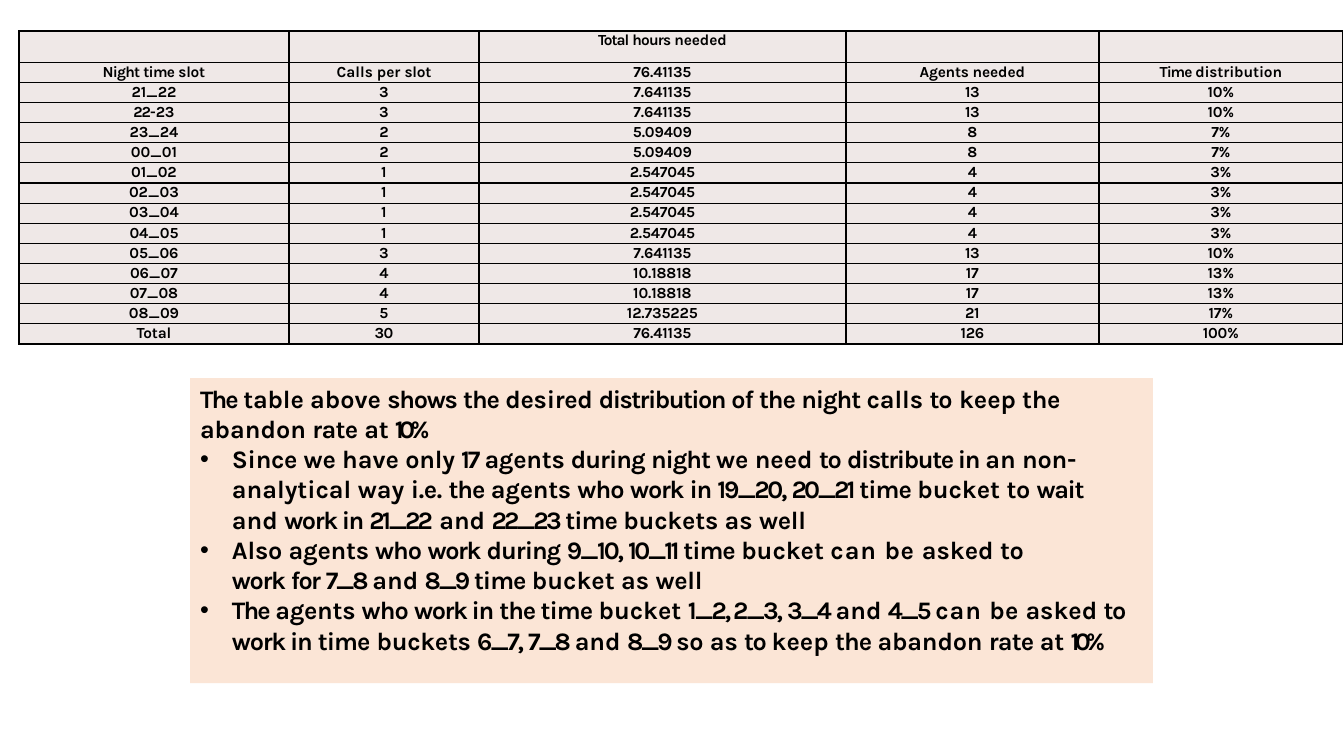
"""Build the slide with the night call distribution table and its staffing notes."""
import pptx
import pptx.dml.color
import pptx.enum.text
import pptx.oxml
import pptx.oxml.ns
import pptx.util

PX = 914400 / 100.8
COLORS = {"text": "000000", "cell": "EFE8E7", "notes": "FBE5D6", "border": "000000"}
FONT = "Karla"
NS = pptx.oxml.ns.nsdecls("a")


def px(length):
    return pptx.util.Emu(round(length * PX))


def write(paragraph, pieces, size, before=0, line=None, align=None):
    paragraph.alignment = align
    paragraph.line_spacing = pptx.util.Pt(line) if line else 1.0
    paragraph.space_before = pptx.util.Pt(before)
    for text, tracking in pieces:
        run = paragraph.add_run()
        run.text = text
        run.font.name = FONT
        run.font.size = pptx.util.Pt(size)
        run.font.bold = True
        run.font.color.rgb = pptx.dml.color.RGBColor.from_string(COLORS["text"])
        run.font._element.set("spc", str(round(tracking * 100)))


presentation = pptx.Presentation()
presentation.slide_width = px(1344)
presentation.slide_height = px(756)
slide = presentation.slides.add_slide(presentation.slide_layouts[1])
slide.shapes.title._element.getparent().remove(slide.shapes.title._element)

column_widths = [270, 190, 367, 253, 244]
column_tracking = [-0.1, -0.5, -0.1, -0.2, -0.2]
schedule = [
    ["", "", [("Total ", -0.7), ("hours ", -0.6), ("needed", -0.1)], "", ""],
    [[("Night ", -0.6), ("time ", -0.5), ("slot", -0.2)],
     [("Calls per ", 0), ("slot", -0.2)],
     "76.41135",
     [("Agents ", -0.2), ("needed", -0.1)],
     [("Time ", -0.8), ("distribution", -0.1)]],
    ["21_22", "3", "7.641135", "13", "10%"],
    [[("22-", -0.7), ("23", -0.2)], "3", "7.641135", "13", "10%"],
    ["23_24", "2", "5.09409", "8", "7%"],
    ["00_01", "2", "5.09409", "8", "7%"],
    ["01_02", "1", "2.547045", "4", "3%"],
    ["02_03", "1", "2.547045", "4", "3%"],
    ["03_04", "1", "2.547045", "4", "3%"],
    ["04_05", "1", "2.547045", "4", "3%"],
    ["05_06", "3", "7.641135", "13", "10%"],
    ["06_07", "4", "10.18818", "17", "13%"],
    ["07_08", "4", "10.18818", "17", "13%"],
    ["08_09", "5", "12.735225", "21", "17%"],
    ["Total", "30", "76.41135", "126", "100%"],
]
schedule_height = px(302)
schedule_table = slide.shapes.add_table(
    len(schedule), len(column_widths), px(19), px(31), px(sum(column_widths)), schedule_height).table
schedule_table.first_row = False
schedule_table.horz_banding = False
for column, width in zip(schedule_table.columns, column_widths):
    column.width = px(width)
for row_index, slot in enumerate(schedule):
    schedule_table.rows[row_index].height = schedule_height // len(schedule)
    for column_index, entry in enumerate(slot):
        cell = schedule_table.cell(row_index, column_index)
        cell.margin_left = cell.margin_right = cell.margin_bottom = 0
        cell.margin_top = px(1)
        pieces = [(entry, column_tracking[column_index])] if isinstance(entry, str) else entry
        write(cell.text_frame.paragraphs[0], pieces, size=11, before=0.8,
              line=12.7 if row_index < 4 else 12.6, align=pptx.enum.text.PP_ALIGN.CENTER)
        cell_properties = cell._tc.get_or_add_tcPr()
        for side in ("lnL", "lnR", "lnT", "lnB"):
            cell_properties.append(pptx.oxml.parse_xml(
                f'<a:{side} {NS} w="12700"><a:solidFill><a:srgbClr val="{COLORS["border"]}"/>'
                f'</a:solidFill></a:{side}>'))
        cell.fill.solid()
        cell.fill.fore_color.rgb = pptx.dml.color.RGBColor.from_string(COLORS["cell"])

summary = [
    ("The ", -1.3), ("table ", -0.1), ("above ", 0), ("shows ", -0.9), ("the ", -0.7),
    ("desired ", -0.2), ("distribution ", -1.1), ("of ", -0.8), ("the ", -0.7), ("night ", -0.8),
    ("calls ", 0), ("to", -0.8), (" keep", 0), (" the ", -0.2), ("abandon ", 0), ("rate", -0.5),
    (" at ", -0.2), ("10%", -3.4)]
evening_agents = [
    ("Since ", -0.2), ("we ", -0.1), ("have ", 0), ("only ", -0.2), ("17 ", -1.6),
    ("agents ", -0.2), ("during ", -0.7), ("night ", -0.8), ("we ", -0.1), ("need ", 0),
    ("to ", -0.9), ("distribute in ", -1), ("an ", 0), ("non- ", -0.2), ("analytical way ", 0),
    ("i.e. ", -0.2), ("the ", -0.7), ("agents ", -0.2), ("who ", -0.6), ("work ", -0.9),
    ("in ", -1), ("19_20, ", -1.6), ("20_21 ", -1.9), ("time ", -0.7), ("bucket ", 0),
    ("to ", -0.2), ("wait ", -1), ("and ", 0), ("work in ", -1), ("21_22", -1.9), (" and ", 0),
    ("22_23 ", -1.9), ("time ", -0.7), ("buckets ", -0.1), ("as ", 0), ("well", -0.2)]
morning_agents = [
    ("Also ", -0.1), ("agents ", -0.2), ("who ", -0.7), ("work ", -1), ("during ", -0.7),
    ("9_10, ", -1.6), ("10_11 ", -1.9), ("time ", -0.7), ("bucket ", 0), ("can ", 0.7),
    ("be ", 0.5), ("asked ", 0), ("to ", -0.2), ("work ", -1), ("for ", -1.2), ("7_8 ", -1.9),
    ("and ", 0), ("8_9 ", -1.9), ("time ", -0.7), ("bucket as ", 0), ("well", -0.2)]
afternoon_agents = [
    ("The ", -1.3), ("agents ", -0.2), ("who ", -0.7), ("work in ", -1), ("the time ", -0.7),
    ("bucket ", 0), ("1_2, 2_3, ", -1.6), ("3_4 ", -1.9), ("and ", 0), ("4_5 ", -1.9),
    ("can ", 0.7), ("be ", 0.2), ("asked ", 0), ("to ", -1.1), ("work in ", -0.9),
    ("time", -0.7), (" buckets ", -0.2), ("6_7, ", -1.6), ("7_8 ", -1.9), ("and ", 0),
    ("8_9 ", -1.9), ("so ", -0.2), ("as ", 0), ("to ", -1.1), ("keep ", 0), ("the ", -0.7),
    ("abandon ", -0.1), ("rate ", -0.6), ("at ", -0.1), ("10%", -3.4)]

notes = slide.placeholders[1]
notes.left, notes.top, notes.width, notes.height = px(190), px(378), px(963), px(315)
notes.fill.solid()
notes.fill.fore_color.rgb = pptx.dml.color.RGBColor.from_string(COLORS["notes"])
notes_frame = notes.text_frame
notes_frame.word_wrap = True
notes_frame.auto_size = pptx.enum.text.MSO_AUTO_SIZE.SHAPE_TO_FIT_TEXT
notes_frame.vertical_anchor = pptx.enum.text.MSO_ANCHOR.TOP
notes_frame.margin_left = notes_frame.margin_right = notes_frame.margin_bottom = 0
notes_frame.margin_top = px(5)
write(notes_frame.paragraphs[0], summary, size=18, before=3.3)
summary_format = notes_frame.paragraphs[0]._p.get_or_add_pPr()
summary_format.set("marL", str(px(10)))
summary_format.set("indent", "0")
summary_format.append(pptx.oxml.parse_xml(f"<a:buNone {NS}/>"))
for advice, right_margin in ((evening_agents, 30), (morning_agents, 85), (afternoon_agents, 22)):
    paragraph = notes_frame.add_paragraph()
    write(paragraph, advice, size=18)
    advice_format = paragraph._p.get_or_add_pPr()
    advice_format.set("marL", str(px(42)))
    advice_format.set("marR", str(px(right_margin)))
    advice_format.set("indent", str(px(-32)))
    advice_format.append(pptx.oxml.parse_xml(f'<a:buFont {NS} typeface="Arial"/>'))
    advice_format.append(pptx.oxml.parse_xml(f'<a:buChar {NS} char="•"/>'))

presentation.save("out.pptx")
